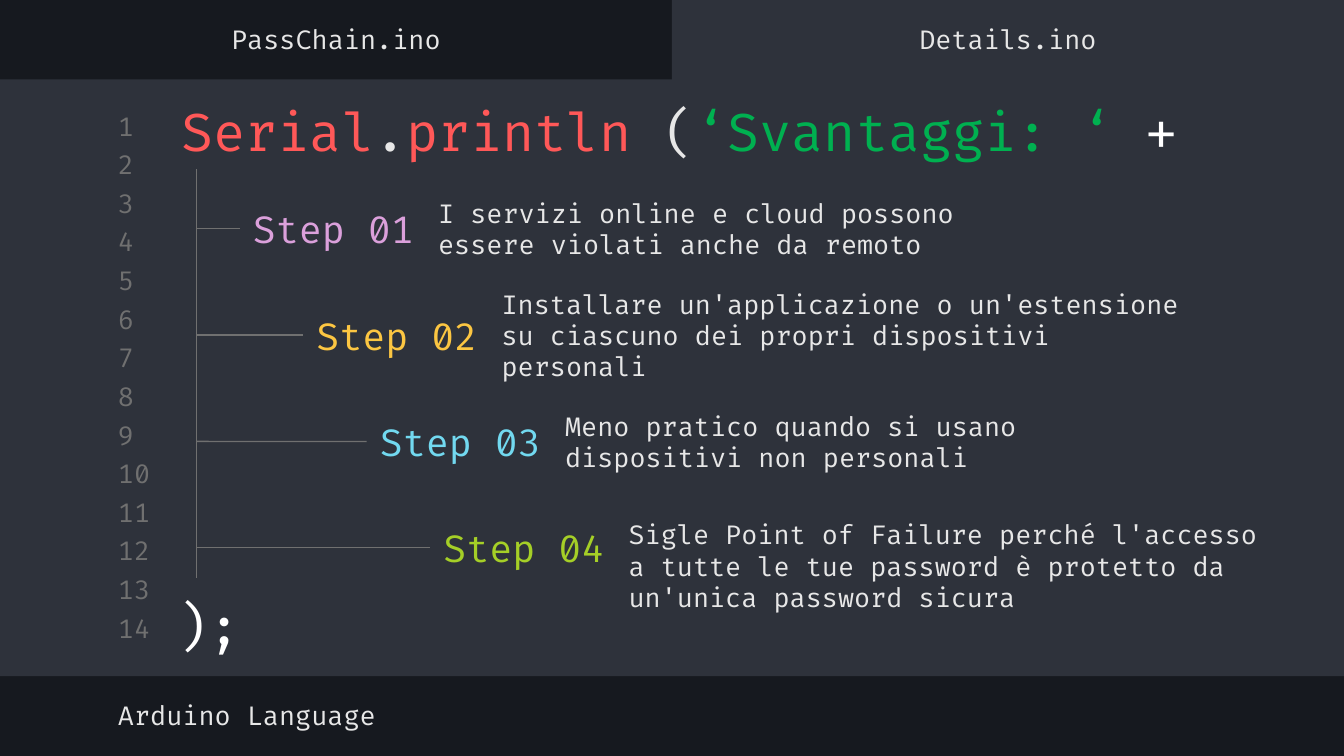
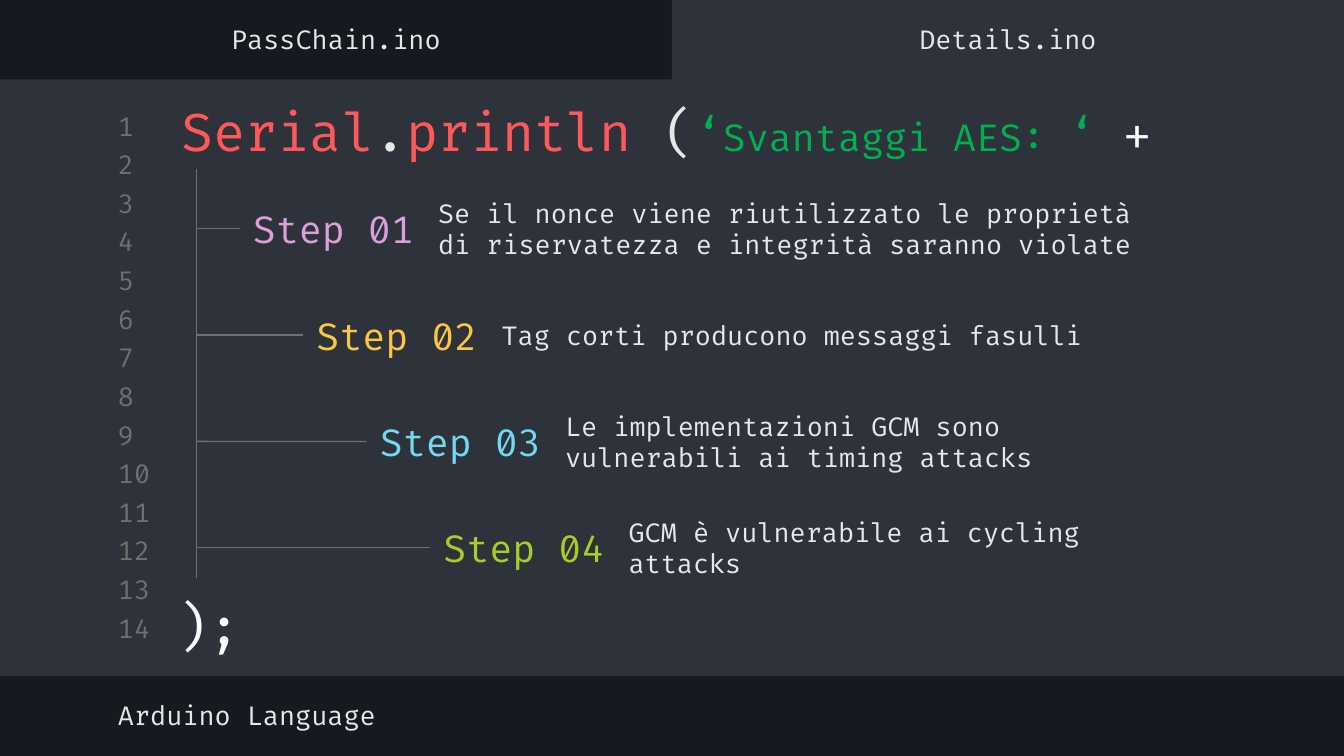
from typing import NamedTuple

from lxml.etree import SubElement
from pptx import Presentation
from pptx.dml.color import RGBColor
from pptx.enum.shapes import MSO_CONNECTOR, MSO_SHAPE
from pptx.enum.text import MSO_ANCHOR, MSO_AUTO_SIZE, PP_ALIGN
from pptx.oxml.ns import qn
from pptx.util import Cm, Pt

FONT = "Fira Code"
DARK = "16191F"
PANEL = "2E323B"
GREY = "707070"
LIGHT = "E7E7E7"
WHITE = "FFFFFF"
RED = "FF5858"
GREEN = "00B050"
STEP_COLOURS = ["DBA0DB", "FCC642", "72D9F0", "A5CF27"]
STEP_INDENT, STEP_PITCH, STEP_HEIGHT = 1.2, 2.01, 1.63
LINE_COUNT, LINE_PITCH = 14, 0.73
TITLE_START = [("Serial", RED, 28), (".", LIGHT, 28), ("println ", RED, 28), ("(", LIGHT, 28)]


class Box(NamedTuple):
    """A rectangle in centimetres."""

    left: float
    top: float
    width: float
    height: float

    def lengths(self):
        """Return the four lengths for python-pptx."""
        return [Cm(value) for value in self]


SLIDE_BOX = Box(0, 0, 25.4, 14.29)
TREE_BOX = Box(3.71, 3.2, 21, 7.72)

SLIDES = [
    {
        "title": [("‘Svantaggi: ‘ ", GREEN, 28), ("+", WHITE, 28)],
        "title_width": 21.54,
        "steps": [
            ("I servizi online e cloud possono essere violati anche da remoto", 11.05, 1.63),
            ("Installare un'applicazione o un'estensione su ciascuno dei propri "
             "dispositivi personali", 13.56, 1.63),
            ("Meno pratico quando si usano dispositivi non personali", 11.05, 1.63),
            ("Sigle Point of Failure perché l'accesso a tutte le tue password è "
             "protetto da un'unica password sicura", 12.93, 2.31),
        ],
    },
    {
        "title": [("‘", GREEN, 24), ("Svantaggi AES: ", GREEN, 20), ("‘ ", GREEN, 24),
                  ("+", WHITE, 24)],
        "title_width": 20.24,
        "steps": [
            ("Se il nonce viene riutilizzato le proprietà di riservatezza e integrità "
             "saranno violate", 14.02, 1.63),
            ("Tag corti producono messaggi fasulli", 15.49, 1.63),
            ("Le implementazioni GCM sono vulnerabili ai timing attacks", 11.05, 1.63),
            ("GCM è vulnerabile ai cycling attacks", 11.4, 1.63),
        ],
    },
]


def colour(value):
    """Turn a hex string into a colour."""
    return RGBColor.from_string(value)


def write_runs(shape, runs, align=PP_ALIGN.LEFT, anchor=MSO_ANCHOR.MIDDLE):
    """Fill a shape with one paragraph of (text, colour, size) runs."""
    frame = shape.text_frame
    frame.word_wrap = True
    frame.auto_size = MSO_AUTO_SIZE.NONE
    frame.vertical_anchor = anchor
    frame.margin_left = frame.margin_right = Cm(0.25)
    frame.margin_top = frame.margin_bottom = Cm(0.25)
    paragraph = frame.paragraphs[0]
    paragraph.alignment = align
    for text, run_colour, size in runs:
        run = paragraph.add_run()
        run.text = text
        run.font.name = FONT
        run.font.size = Pt(size)
        run.font.color.rgb = colour(run_colour)


def add_text(slide, box, text, size=14, text_colour=LIGHT, **layout):
    """Add a text box holding one formatted run."""
    shape = slide.shapes.add_textbox(*box.lengths())
    write_runs(shape, [(text, text_colour, size)], **layout)
    return shape


def add_panel(slide, box):
    """Add a plain panel in the editor colour."""
    shape = slide.shapes.add_shape(MSO_SHAPE.RECTANGLE, *box.lengths())
    shape.shadow.inherit = False
    shape.fill.solid()
    shape.fill.fore_color.rgb = colour(PANEL)
    shape.line.fill.background()


def add_line(slide, start, end):
    """Add a thin grey connector between two points."""
    lengths = [Cm(value) for value in (*start, *end)]
    connector = slide.shapes.add_connector(MSO_CONNECTOR.STRAIGHT, *lengths)
    connector.line.color.rgb = colour(GREY)
    connector.line.width = Pt(0.75)
    SubElement(connector.element.spPr, qn("a:effectLst"))
    return connector


def add_editor(slide, box):
    """Draw the editor panel, the open tab and the line numbers."""
    half = box.width / 2
    add_panel(slide, Box(box.left, box.top + 1.5, box.width, 11.28))
    add_panel(slide, Box(box.left + half, box.top, half, 1.65))
    for index in range(LINE_COUNT):
        number_box = Box(box.left + 1.98, box.top + 2.07 + index * LINE_PITCH, 1.19, 0.61)
        add_text(slide, number_box, str(index + 1), text_colour=GREY)


def add_labels(slide, box):
    """Write the two tab names and the footer."""
    half = box.width / 2
    for index, name in enumerate(["PassChain.ino", "Details.ino"]):
        tab_box = Box(box.left + index * half, box.top + 0.25, half, 0.99)
        add_text(slide, tab_box, name, align=PP_ALIGN.CENTER)
    add_text(slide, Box(box.left + 1.98, box.top + 13.03, 13.51, 0.99), "Arduino Language")


def place_title(slide, box, runs):
    """Format the title placeholder and bring it in front of the panels."""
    title = slide.shapes.title
    title.left, title.top, title.width, title.height = box.lengths()
    write_runs(title, TITLE_START + runs, anchor=MSO_ANCHOR.TOP)
    slide.shapes.element.append(title.element)


def add_step_tree(slide, box, steps):
    """Draw the trunk with one indented branch per step."""
    add_line(slide, (box.left, box.top), (box.left, box.top + box.height))
    for index, (text, width, height) in enumerate(steps):
        left = box.left + 0.82 + index * STEP_INDENT
        top = box.top + 0.31 + index * STEP_PITCH
        middle = top + STEP_HEIGHT / 2
        label = add_text(slide, Box(left, top, 3.61, STEP_HEIGHT), f"Step {index + 1:02}",
                         size=20, text_colour=STEP_COLOURS[index])
        add_text(slide, Box(left + 3.5, top, width, height), text)
        branch = add_line(slide, (box.left, middle), (left, middle))
        branch.end_connect(label, 1)


def build_slide(presentation, content):
    """Build one code-editor slide."""
    slide = presentation.slides.add_slide(presentation.slide_layouts[5])
    add_editor(slide, SLIDE_BOX)
    place_title(slide, Box(3.18, 1.63, content["title_width"], 1.5), content["title"])
    add_step_tree(slide, TREE_BOX, content["steps"])
    add_text(slide, Box(3.02, 10.97, 1.85, 1.7), ");", size=28, text_colour=WHITE,
             align=PP_ALIGN.CENTER, anchor=MSO_ANCHOR.TOP)
    add_labels(slide, SLIDE_BOX)


def main():
    """Create and save the presentation."""
    presentation = Presentation()
    presentation.slide_width = Cm(SLIDE_BOX.width)
    presentation.slide_height = Cm(SLIDE_BOX.height)
    background = presentation.slide_master.background.fill
    background.solid()
    background.fore_color.rgb = colour(DARK)
    for content in SLIDES:
        build_slide(presentation, content)
    presentation.save("out.pptx")


if __name__ == "__main__":
    main()
